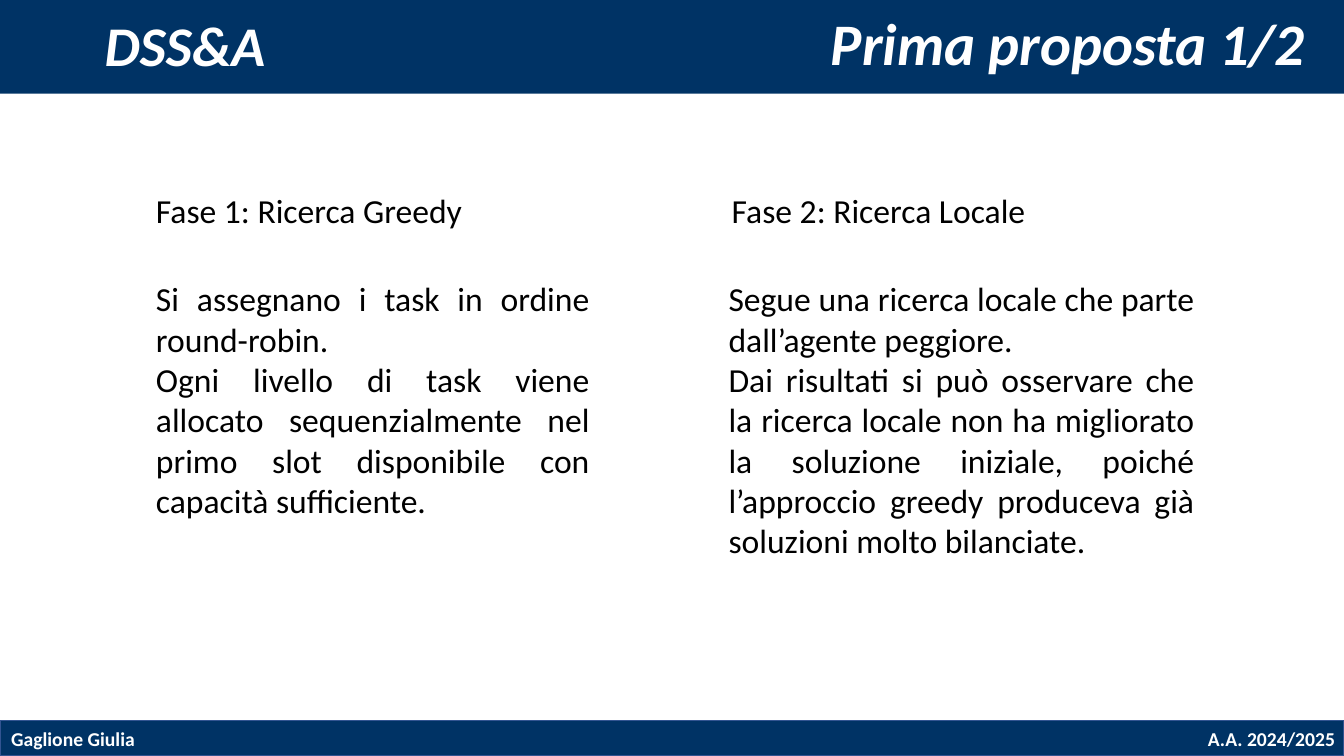
from lxml import etree
from pptx import Presentation
from pptx.dml.color import RGBColor
from pptx.enum import shapes, text
from pptx.oxml import ns
from pptx.util import Cm, Pt

NAVY = RGBColor(0x00, 0x33, 0x65)
EDGE = RGBColor(0x32, 0x54, 0x91)
WHITE = RGBColor(255, 255, 255)
BLACK = RGBColor(0, 0, 0)
LEFT, RIGHT, JUST = text.PP_ALIGN.LEFT, text.PP_ALIGN.RIGHT, text.PP_ALIGN.JUSTIFY
TOP, MID = text.MSO_ANCHOR.TOP, text.MSO_ANCHOR.MIDDLE

WIDE, HIGH = 33.87, 19.05
TITLE = "Prima proposta 1/2"
COURSE = "DSS&A"
FOOT = [("Gaglione Giulia", LEFT), ("A.A. 2024/2025", RIGHT)]
BARS = [(-0.05, 2.41, None), (18.16, 0.89, EDGE)]
PHASES = [
    {"head": "Fase 1: Ricerca Greedy", "spot": (3.68, 4.65, 8.31, 1.27),
     "body": ["Si assegnano i task in ordine round-robin.",
              "Ogni livello di task viene allocato sequenzialmente nel primo slot "
              "disponibile con capacità sufficiente."],
     "area": (3.68, 6.88, 11.43, 6.4)},
    {"head": "Fase 2: Ricerca Locale", "spot": (18.19, 4.65, 7.98, 1.27),
     "body": ["Segue una ricerca locale che parte dall’agente peggiore.",
              "Dai risultati si può osservare che la ricerca locale non ha migliorato "
              "la soluzione iniziale, poiché l’approccio greedy produceva già "
              "soluzioni molto bilanciate."],
     "area": (18.11, 6.88, 12.24, 7.44)},
]


def write(box, lines, area, size=24, color=BLACK, bold=False, slant=False,
          align=LEFT, anchor=TOP, wrap=True, lead=1.0, inset=0.25):
    """Place a box and fill it with formatted paragraphs."""
    box.left, box.top, box.width, box.height = map(Cm, area)
    frame = box.text_frame
    frame.text = "\n".join(lines)
    frame.auto_size = text.MSO_AUTO_SIZE.NONE
    frame.word_wrap, frame.vertical_anchor = wrap, anchor
    frame.margin_left, frame.margin_right = Cm(0.25), Cm(inset)
    frame.margin_top = frame.margin_bottom = Cm(0.13)
    for para in frame.paragraphs:
        props = para._p.get_or_add_pPr()
        props.set("marL", "0")
        props.set("indent", "0")
        etree.SubElement(props, ns.qn("a:buNone"))
        para.alignment, para.line_spacing = align, lead
        para.space_before = para.space_after = Pt(0)
        for run in para.runs:
            font = run.font
            font.name, font.size, font.color.rgb = "Calibri", Pt(size), color
            font.bold, font.italic = bold, slant


def main():
    """Build and save the slide."""
    deck = Presentation()
    deck.slide_width, deck.slide_height = Cm(WIDE), Cm(HIGH)
    slide = deck.slides.add_slide(deck.slide_layouts[4])
    items = slide.shapes
    for top, tall, edge in BARS:
        bar = items.add_shape(shapes.MSO_SHAPE.RECTANGLE, 0, Cm(top), Cm(WIDE), Cm(tall))
        bar.shadow.inherit = False
        bar.fill.solid()
        bar.fill.fore_color.rgb = NAVY
        if edge:
            bar.line.color.rgb, bar.line.width = edge, Pt(1)
        else:
            bar.line.fill.background()
        bar.element.getparent().insert(2, bar.element)

    write(items.title, [TITLE], (-0.08, 0, WIDE, 2.36), size=42, color=WHITE,
          bold=True, slant=True, align=RIGHT, anchor=MID, lead=0.9, inset=0.9)
    write(items.add_textbox(0, 0, 0, 0), [COURSE], (2.39, 0.13, 4.6, 1.96), size=40,
          color=WHITE, bold=True, slant=True, wrap=False)
    half = WIDE / 2
    for col, (line, align) in enumerate(FOOT):
        write(items.add_textbox(0, 0, 0, 0), [line], (0.03 + col * half, 18.19, half, 0.86),
              size=14, color=WHITE, bold=True, align=align)

    slots = list(slide.placeholders)[1:]
    for phase, head, body in zip(PHASES, slots[::2], slots[1::2]):
        write(head, [phase["head"]], phase["spot"], wrap=False)
        write(body, phase["body"], phase["area"], align=JUST)
    deck.save("out.pptx")


if __name__ == "__main__":
    main()
